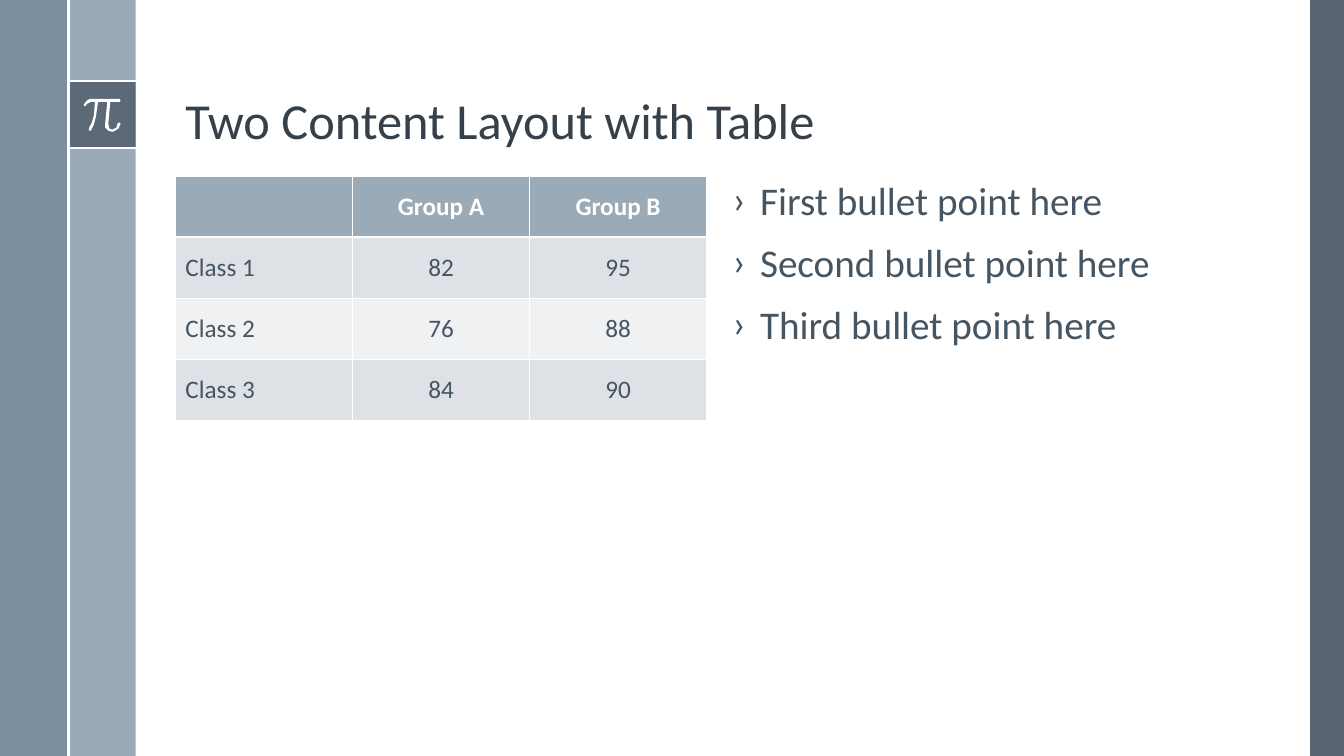
from lxml import etree
from pptx import Presentation
from pptx.dml.color import RGBColor
from pptx.enum.shapes import MSO_CONNECTOR, MSO_SHAPE
from pptx.enum.text import MSO_ANCHOR, MSO_AUTO_SIZE, PP_ALIGN
from pptx.oxml.ns import qn
from pptx.util import Cm, Pt

RECTANGLE = MSO_SHAPE.RECTANGLE
STRAIGHT = MSO_CONNECTOR.STRAIGHT
LEFT, CENTER = PP_ALIGN.LEFT, PP_ALIGN.CENTER
TOP, MIDDLE, BOTTOM = MSO_ANCHOR.TOP, MSO_ANCHOR.MIDDLE, MSO_ANCHOR.BOTTOM
NO_AUTOFIT = MSO_AUTO_SIZE.NONE

FONT = "Calibri"
COLORS = {
    "white": "FFFFFF",
    "slate": "475562",
    "steel": "6A8093",
    "mist": "9BAAB7",
    "title": "35404A",
    "text": "465562",
    "band_dark": "DEE2E6",
    "band_light": "EFF1F3",
}
SLIDE_WIDTH, SLIDE_HEIGHT = Cm(33.87), Cm(19.05)
RIGHT_BAR = (Cm(33.02), 0, Cm(0.85), SLIDE_HEIGHT)
LEFT_BAND = (0, 0, Cm(3.42), SLIDE_HEIGHT)
TITLE_BOX = (Cm(4.42), Cm(0.48), Cm(27.18), Cm(3.45))
TABLE_BOX = (Cm(4.42), Cm(4.44), Cm(13.39), Cm(6.14))
LIST_BOX = (Cm(18.21), Cm(4.44), Cm(13.39), Cm(12.7))

SCORES = [
    ["", "Group A", "Group B"],
    ["Class 1", "82", "95"],
    ["Class 2", "76", "88"],
    ["Class 3", "84", "90"],
]
BULLETS = ["First bullet point here", "Second bullet point here", "Third bullet point here"]

# Outline of the pi sign on a grid 36 units wide
PI_GRID_WIDTH = 36
PI_OUTLINE = [
    (35, 0), (7, 0), (3.8, 0.9), (1.6, 3), (0, 6), (1, 7), (2, 7), (3.4, 5), (7, 3),
    (11, 3), (9.9, 15.6), (8, 23.4), (5, 29), (5, 31), (6, 31), (7, 31), (10, 24.7),
    (12, 16.6), (14, 3), (23, 3), (21, 24), (21.4, 28), (24, 31), (27, 32), (29, 32),
    (34.4, 29), (36, 24), (35, 23), (33, 24), (31.9, 27.6), (28, 30), (25, 29),
    (24, 24), (26, 3), (35, 3), (36, 2),
]


def rgb(name):
    return RGBColor.from_string(COLORS[name])


def apply_format(target, settings):
    for attribute, value in settings.items():
        setattr(target, attribute, value)


def place(shape, box):
    apply_format(shape, dict(zip(("left", "top", "width", "height"), box)))


def format_font(paragraph, size, color, bold=False):
    apply_format(paragraph.font, {"name": FONT, "size": Pt(size), "bold": bold})
    paragraph.font.color.rgb = rgb(color)


def paint(shape, color, opacity=100):
    shape.shadow.inherit = False
    shape.line.fill.background()
    shape.fill.solid()
    shape.fill.fore_color.rgb = rgb(color)
    if opacity < 100:
        color_element = shape.fill._xPr.find(qn("a:solidFill"))[0]
        etree.SubElement(color_element, qn("a:alpha"), val=str(opacity * 1000))


def add_bar(slide, box, color, opacity=100):
    paint(slide.shapes.add_shape(RECTANGLE, *box), color, opacity)


def add_rule(slide, start, end):
    rule = slide.shapes.add_connector(STRAIGHT, *start, *end)
    rule.line.color.rgb = rgb("white")
    rule.line.width = Pt(1.5)
    etree.SubElement(rule._element.spPr, qn("a:effectLst"))


def add_pi_sign(slide, left, top, width):
    pen = slide.shapes.build_freeform(*PI_OUTLINE[0], scale=width / PI_GRID_WIDTH)
    pen.add_line_segments(PI_OUTLINE[1:], close=True)
    paint(pen.convert_to_shape(left, top), "white")


def add_left_band(slide, box):
    left, top, width, height = box
    bar_width = Cm(1.69)
    strip_left = left + width - bar_width
    strip_right = left + width
    tile_top = top + Cm(2.05)
    add_bar(slide, (strip_left, top, bar_width, height), "mist")
    add_bar(slide, (left, top, bar_width, height), "steel", 88)
    add_bar(slide, (strip_left, tile_top, bar_width, bar_width), "slate", 75)
    for edge in (tile_top, tile_top + bar_width):
        add_rule(slide, (strip_left, edge), (strip_right, edge))
    add_pi_sign(slide, strip_left + Cm(0.38), tile_top + Cm(0.44), Cm(0.93))
    add_rule(slide, (strip_left, top), (strip_left, top + height))


def fill_title(slide, box):
    title = slide.shapes.title
    place(title, box)
    title.text_frame.text = "Two Content Layout with Table"
    apply_format(title.text_frame, {"vertical_anchor": BOTTOM, "auto_size": NO_AUTOFIT})
    heading = title.text_frame.paragraphs[0]
    apply_format(heading, {"alignment": LEFT, "line_spacing": 0.9})
    format_font(heading, 36, "title")


def set_borders(cell, widths):
    """Draw white borders, with widths in points keyed by side: L, R, T, B."""
    properties = cell._tc.get_or_add_tcPr()
    for position, (side, width) in enumerate(widths.items()):
        border = etree.Element(qn(f"a:ln{side}"), w=str(Pt(width)))
        fill = etree.SubElement(border, qn("a:solidFill"))
        etree.SubElement(fill, qn("a:srgbClr"), val=COLORS["white"])
        properties.insert(position, border)


def add_score_table(slide, box):
    width, height = box[2:]
    row_count, column_count = len(SCORES), len(SCORES[0])
    table = slide.shapes.add_table(row_count, column_count, *box).table
    for column in table.columns:
        column.width = width // column_count
    for row in table.rows:
        row.height = height // row_count
    for row, values in enumerate(SCORES):
        is_header = row == 0
        background = "mist" if is_header else "band_dark" if row % 2 else "band_light"
        borders = {
            "L": 0.45,
            "R": 0.45,
            "T": 1.5 if row == 1 else 0.45,
            "B": 1.5 if is_header else 0.45,
        }
        for column, value in enumerate(values):
            cell = table.cell(row, column)
            cell.text = value
            cell.vertical_anchor = MIDDLE
            cell.fill.solid()
            cell.fill.fore_color.rgb = rgb(background)
            set_borders(cell, borders)
            entry = cell.text_frame.paragraphs[0]
            entry.alignment = CENTER if column else LEFT
            format_font(entry, 18, "white" if is_header else "text", is_header)


def set_bullet(paragraph):
    properties = paragraph._p.get_or_add_pPr()
    apply_indent = {"marL": Cm(0.69), "indent": -Cm(0.69)}
    for attribute, value in apply_indent.items():
        properties.set(attribute, str(value))
    color = etree.SubElement(properties, qn("a:buClr"))
    etree.SubElement(color, qn("a:srgbClr"), val=COLORS["text"])
    etree.SubElement(properties, qn("a:buFont"), typeface=FONT)
    etree.SubElement(properties, qn("a:buChar"), char="›")


def fill_bullet_list(slide, box):
    body = slide.placeholders[1]
    place(body, box)
    frame = body.text_frame
    frame.text = "\n".join(BULLETS)
    apply_format(frame, {"vertical_anchor": TOP, "auto_size": NO_AUTOFIT, "word_wrap": True})
    for point in frame.paragraphs:
        apply_format(point, {"alignment": LEFT, "line_spacing": 0.9, "space_before": Pt(14)})
        set_bullet(point)
        format_font(point, 28, "text")


def main():
    presentation = Presentation()
    apply_format(presentation, {"slide_width": SLIDE_WIDTH, "slide_height": SLIDE_HEIGHT})
    slide = presentation.slides.add_slide(presentation.slide_layouts[1])
    add_bar(slide, RIGHT_BAR, "slate", 90)
    add_left_band(slide, LEFT_BAND)
    fill_title(slide, TITLE_BOX)
    add_score_table(slide, TABLE_BOX)
    fill_bullet_list(slide, LIST_BOX)
    presentation.save("out.pptx")


if __name__ == "__main__":
    main()
